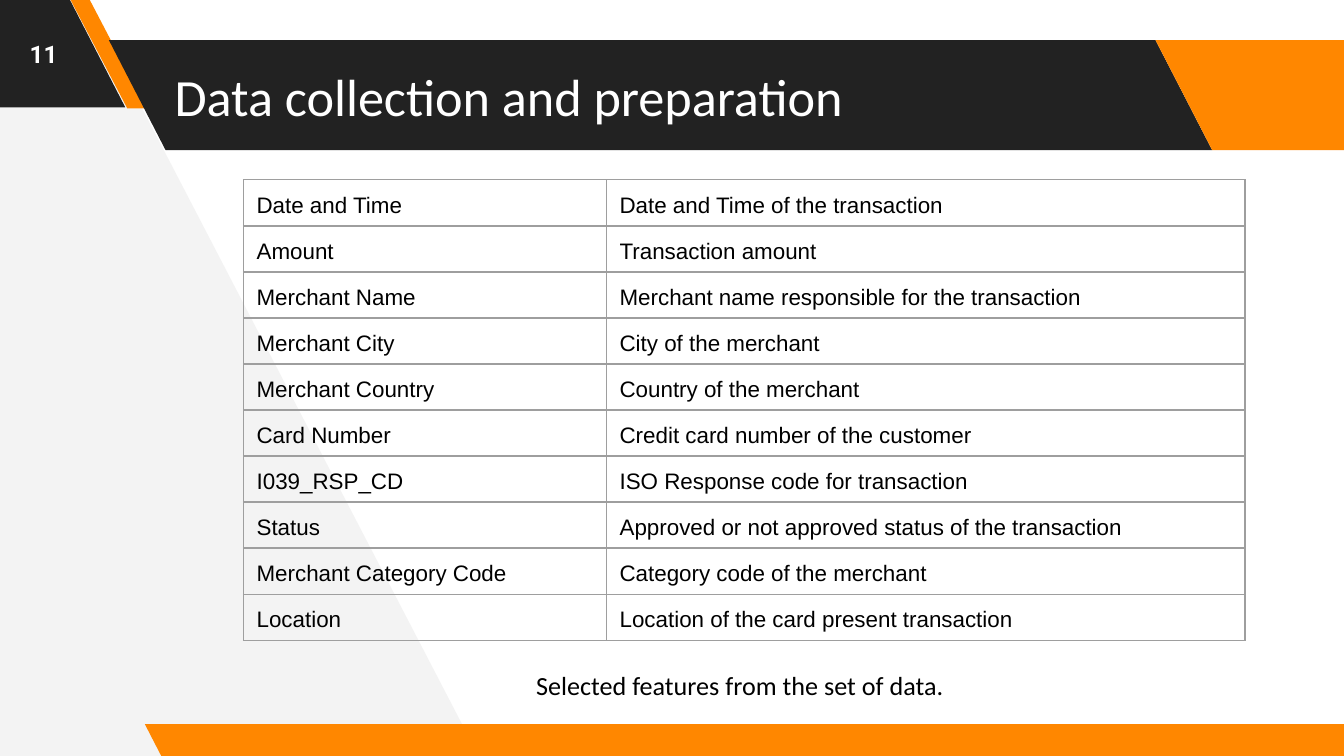
"""Build the data collection and preparation slide with its feature table."""
from lxml.etree import SubElement
from pptx import Presentation
from pptx.dml.color import RGBColor
from pptx.enum.shapes import MSO_SHAPE as SHAPE
from pptx.enum.text import MSO_ANCHOR as ANCHOR, PP_ALIGN as ALIGN
from pptx.oxml.ns import qn
from pptx.util import Cm, Pt

BLACK = RGBColor(0x00, 0x00, 0x00)
WHITE = RGBColor(0xFF, 0xFF, 0xFF)
DARK = RGBColor(0x22, 0x22, 0x22)
ORANGE = RGBColor(0xFF, 0x87, 0x00)
PALE = RGBColor(0xF3, 0xF3, 0xF3)
GREY = RGBColor(0x9E, 0x9E, 0x9E)
INSET = Cm(0.25)

FEATURES = [
    ("Date and Time", "Date and Time of the transaction"),
    ("Amount", "Transaction amount"),
    ("Merchant Name", "Merchant name responsible for the transaction"),
    ("Merchant City", "City of the merchant"),
    ("Merchant Country", "Country of the merchant"),
    ("Card Number", "Credit card number of the customer"),
    ("I039_RSP_CD", "ISO Response code for transaction"),
    ("Status", "Approved or not approved status of the transaction"),
    ("Merchant Category Code", "Category code of the merchant"),
    ("Location", "Location of the card present transaction"),
]


class Deck:
    def __init__(self, width, height):
        self.prs = Presentation()
        self.prs.slide_width, self.prs.slide_height = Cm(width), Cm(height)

    def add_slide(self):
        self.s = self.prs.slides.add_slide(self.prs.slide_layouts[5])

    def paint(self, sp, color):
        sp.shadow.inherit = False
        sp.fill.solid()
        sp.fill.fore_color.rgb = color
        sp.line.fill.background()

    def polygon(self, points, color):
        start, *rest = [(Cm(x), Cm(y)) for x, y in points]
        builder = self.s.shapes.build_freeform(*start)
        builder.add_line_segments(rest, close=True)
        self.paint(builder.convert_to_shape(), color)

    def slant(self, box, color, adj=0.515):
        sp = self.s.shapes.add_shape(SHAPE.PARALLELOGRAM, *map(Cm, box))
        sp.adjustments[0] = adj
        sp._element.spPr.xfrm.set("flipH", "1")
        self.paint(sp, color)

    def set_text(self, tf, text, size, font, color, bold=False, align=ALIGN.LEFT):
        tf.word_wrap = True
        p = tf.paragraphs[0]
        p.text, p.alignment = text, align
        p.font.size, p.font.name, p.font.bold = Pt(size), font, bold
        p.font.color.rgb = color

    def fit(self, tf, anchor):
        tf.vertical_anchor = anchor
        tf.margin_left = tf.margin_right = INSET
        tf.margin_top = tf.margin_bottom = INSET

    def title(self, box, text):
        sp = self.s.shapes.title
        sp.left, sp.top, sp.width, sp.height = map(Cm, box)
        self.s.shapes._spTree.append(sp._element)
        self.fit(sp.text_frame, ANCHOR.MIDDLE)
        self.set_text(sp.text_frame, text, 28, "Calibri", WHITE)

    def text(self, box, text, size, font, color, bold=False, anchor=ANCHOR.TOP):
        tf = self.s.shapes.add_textbox(*map(Cm, box)).text_frame
        self.fit(tf, anchor)
        self.set_text(tf, text, size, font, color, bold, ALIGN.CENTER)

    def border(self, cell):
        tc_pr = cell._tc.get_or_add_tcPr()
        for side in ("lnL", "lnR", "lnT", "lnB"):
            ln = SubElement(tc_pr, qn(f"a:{side}"), w=str(Pt(0.75)))
            fill = SubElement(ln, qn("a:solidFill"))
            SubElement(fill, qn("a:srgbClr"), val=str(GREY))

    def table(self, left, top, widths, row_height, rows):
        frame = self.s.shapes.add_table(
            len(rows), len(widths), Cm(left), Cm(top),
            Cm(sum(widths)), Cm(row_height * len(rows)))
        table = frame.table
        table.first_row = table.horz_banding = False
        for column, width in zip(table.columns, widths):
            column.width = Cm(width)
        for row, texts in zip(table.rows, rows):
            row.height = Cm(row_height)
            for cell, text in zip(row.cells, texts):
                self.border(cell)
                cell.fill.background()
                cell.margin_left = cell.margin_right = cell.margin_top = INSET
                cell.margin_bottom = 0
                self.set_text(cell.text_frame, text, 12, "Arial", BLACK)


def main():
    deck = Deck(25.4, 14.29)
    deck.add_slide()
    deck.polygon([(9.04, 14.28), (1.57, -0.1), (-0.15, -0.1), (-0.05, 14.38)], PALE)
    deck.slant((-2.51, -0.05, 4.88, 2.08), DARK)
    deck.slant((1.32, -0.03, 1.45, 2.08), ORANGE, 0.75)
    deck.slant((2.06, 0.76, 20.85, 2.08), DARK)
    deck.slant((21.84, 0.76, 4.88, 2.08), ORANGE)
    deck.slant((2.74, 13.69, 23.24, 0.64), ORANGE)
    deck.title((3.05, 0.76, 21.03, 2.08), "Data collection and preparation")
    deck.text((0, 0, 1.65, 2.03), "11", 13, "Roboto", WHITE, True, ANCHOR.MIDDLE)
    deck.table(4.6, 3.4, (6.86, 12.07), 0.87, FEATURES)
    deck.text((4.6, 12.4, 18.77, 0.91), "Selected features from the set of data.",
              14, "Calibri", BLACK)
    deck.prs.save("out.pptx")


if __name__ == "__main__":
    main()
